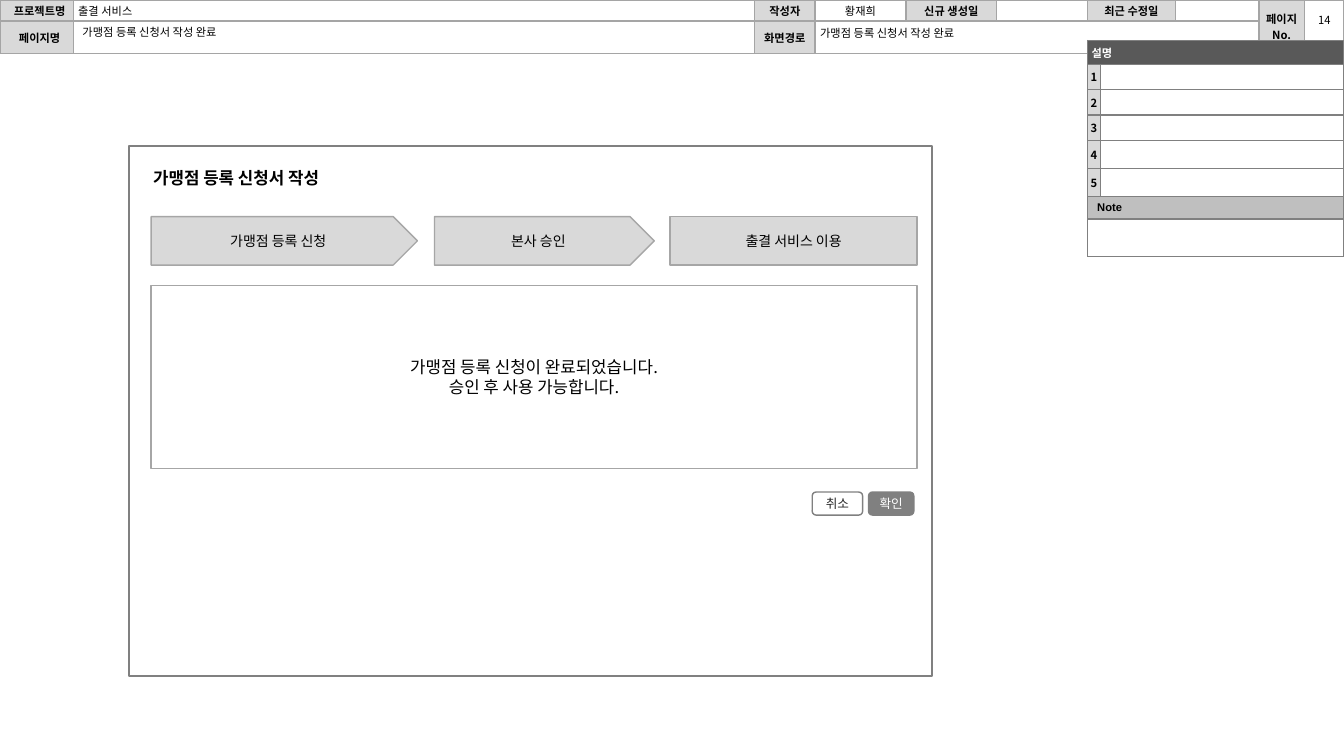
import pptx
import pptx.dml.color
import pptx.enum.shapes
import pptx.enum.text
import pptx.oxml
import pptx.oxml.ns
import pptx.util
from lxml import etree

Cm = pptx.util.Cm
Pt = pptx.util.Pt
qn = pptx.oxml.ns.qn
SHAPE = pptx.enum.shapes.MSO_SHAPE
ANCHOR = pptx.enum.text.MSO_ANCHOR
ALIGN = pptx.enum.text.PP_ALIGN

BLACK, WHITE = "000000", "FFFFFF"
LABEL, GREY, LINE = "D9D9D9", "808080", "A6A6A6"


def color(value):
    return pptx.dml.color.RGBColor.from_string(value)


class Wireframe:
    font = "Noto Sans CJK KR"

    def __init__(self, prs):
        self.s = prs.slides.add_slide(prs.slide_layouts[5])

    def run(self, p, text, size, fill=BLACK, bold=False, font=None):
        r = p.add_run()
        r.text = text
        r.font.name = font or self.font
        r.font.size = Pt(size)
        r.font.bold = bold
        r.font.color.rgb = color(fill)
        etree.SubElement(r._r.get_or_add_rPr(), qn("a:ea")).set("typeface", self.font)

    def fill_text(self, tf, lines, size, fill=BLACK, bold=False, align=ALIGN.CENTER,
                  anchor=ANCHOR.MIDDLE, insets=(0.25, 0.13, 0.25, 0.13)):
        tf.word_wrap = True
        tf.auto_size = pptx.enum.text.MSO_AUTO_SIZE.NONE
        tf.vertical_anchor = anchor
        tf.margin_left, tf.margin_top, tf.margin_right, tf.margin_bottom = map(Cm, insets)
        for i, line in enumerate(lines):
            p = tf.add_paragraph() if i else tf.paragraphs[0]
            p.alignment = align
            self.run(p, line, size, fill, bold)

    def title(self, box, text):
        sp = self.s.shapes.title
        sp.left, sp.top, sp.width, sp.height = map(Cm, box)
        self.fill_text(sp.text_frame, [text], 12, bold=True, align=ALIGN.LEFT,
                       anchor=ANCHOR.TOP)

    def text(self, box, text, align=ALIGN.LEFT, insets=(0.1, 0.1, 0.1, 0.1)):
        sp = self.s.shapes.add_textbox(*map(Cm, box))
        self.fill_text(sp.text_frame, [text], 8, align=align, anchor=ANCHOR.TOP, insets=insets)

    def shape(self, kind, box, line, fill=None, lines=(), size=10, text_color=BLACK, **style):
        sp = self.s.shapes.add_shape(kind, *map(Cm, box))
        sp.shadow.inherit = False
        if fill:
            sp.fill.solid()
            sp.fill.fore_color.rgb = color(fill)
        else:
            sp.fill.background()
        sp.line.color.rgb = color(line)
        sp.line.width = Pt(1)
        self.fill_text(sp.text_frame, lines, size, text_color, **style)

    def table(self, left, top, cols, rows, border):
        frame = self.s.shapes.add_table(len(rows), len(cols), Cm(left), Cm(top),
                                        Cm(sum(cols)), Cm(sum(rows)))
        tbl = frame.table
        tbl.first_row = tbl.horz_banding = False
        for col, width in zip(tbl.columns, cols):
            col.width = Cm(width)
        for row, height in zip(tbl.rows, rows):
            row.height = Cm(height)
        for cell in tbl.iter_cells():
            self.borders(cell, border)
            cell.fill.solid()
            cell.fill.fore_color.rgb = color(WHITE)
            cell.margin_left = cell.margin_right = cell.margin_top = cell.margin_bottom = 0
            p = cell.text_frame.paragraphs[0]
            etree.SubElement(p._p, qn("a:endParaRPr")).set("sz", "800")
        return tbl

    def borders(self, cell, value):
        for side in ("lnL", "lnR", "lnT", "lnB"):
            ln = etree.SubElement(cell._tc.get_or_add_tcPr(), qn("a:" + side), w=str(Pt(1)))
            fill = etree.SubElement(ln, qn("a:solidFill"))
            etree.SubElement(fill, qn("a:srgbClr")).set("val", value)

    def cell(self, cell, text, fill=LABEL, text_color=BLACK, bold=True,
             align=ALIGN.CENTER, left=0, font=None):
        cell.fill.solid()
        cell.fill.fore_color.rgb = color(fill)
        cell.vertical_anchor = ANCHOR.MIDDLE
        cell.margin_left = Cm(left)
        p = cell.text_frame.paragraphs[0]
        p.alignment = align
        self.run(p, text, 8, text_color, bold, font)


def add_header(w):
    tbl = w.table(0, 0, [1.85, 17.17, 1.52, 2.29, 2.29, 2.29, 2.21, 2.11, 1.14, 0.99],
                  [0.53, 0.69], "A5A5A5")
    tbl.cell(0, 8).merge(tbl.cell(1, 8))
    tbl.cell(0, 9).merge(tbl.cell(1, 9))
    tbl.cell(1, 3).merge(tbl.cell(1, 7))
    labels = [(0, 0, "프로젝트명", 0.15), (0, 2, "작성자", 0), (0, 4, "신규 생성일", 0),
              (0, 6, "최근 수정일", 0), (0, 8, "페이지 No.", 0),
              (1, 0, "페이지명", 0.15), (1, 2, "화면경로", 0)]
    for row, col, text, left in labels:
        w.cell(tbl.cell(row, col), text, left=left)
    w.cell(tbl.cell(0, 1), "출결 서비스", WHITE, bold=False, align=ALIGN.LEFT, left=0.12)
    w.cell(tbl.cell(0, 3), "황재희", WHITE, bold=False)
    w.text((1.98, 0.53, 16.87, 0.53), "가맹점 등록 신청서 작성 완료")
    w.text((32.89, 0.03, 0.97, 0.74), "14", ALIGN.CENTER, (0, 0.3, 0, 0.1))
    w.text((20.57, 0.56, 10.97, 0.53), "가맹점 등록 신청서 작성 완료")


def add_window(w):
    w.shape(SHAPE.RECTANGLE, (3.25, 3.68, 20.24, 13.36), GREY)
    w.title((3.61, 4.09, 5.23, 0.76), "가맹점 등록 신청서 작성")
    buttons = [(21.89, 1.14, "확인", GREY, WHITE), (20.47, 1.27, "취소", WHITE, "262626")]
    for left, width, text, fill, text_color in buttons:
        w.shape(SHAPE.ROUNDED_RECTANGLE, (left, 12.4, width, 0.58), GREY, fill, [text], 9,
                text_color, insets=(0.1, 0.13, 0.1, 0.13))
    steps = [(SHAPE.PENTAGON, 3.81, 6.71, "가맹점 등록 신청"),
             (SHAPE.PENTAGON, 10.95, 5.54, "본사 승인"),
             (SHAPE.RECTANGLE, 16.89, 6.22, "출결 서비스 이용")]
    for kind, left, width, text in steps:
        w.shape(kind, (left, 5.46, width, 1.22), LINE, LABEL, [text])
    w.shape(SHAPE.RECTANGLE, (3.81, 7.19, 19.3, 4.62), LINE, size=12,
            lines=["가맹점 등록 신청이 완료되었습니다.", "승인 후 사용 가능합니다."])


def add_description(w):
    tbl = w.table(27.41, 1.02, [0.32, 6.14],
                  [0.6, 0.64, 0.64, 0.64, 0.71, 0.71, 0.56, 0.94], GREY)
    for row in (0, 6, 7):
        tbl.cell(row, 0).merge(tbl.cell(row, 1))
    w.cell(tbl.cell(0, 0), "설명", "595959", WHITE, align=ALIGN.LEFT, left=0.1)
    for n in range(1, 6):
        w.cell(tbl.cell(n, 0), str(n))
    w.cell(tbl.cell(6, 0), "Note", "BFBFBF", align=ALIGN.LEFT, left=0.24, font="Arial")


def main():
    prs = pptx.Presentation()
    prs.slide_width, prs.slide_height = Cm(33.87), Cm(19.05)
    w = Wireframe(prs)
    add_header(w)
    add_window(w)
    add_description(w)
    prs.save("out.pptx")


if __name__ == "__main__":
    main()
